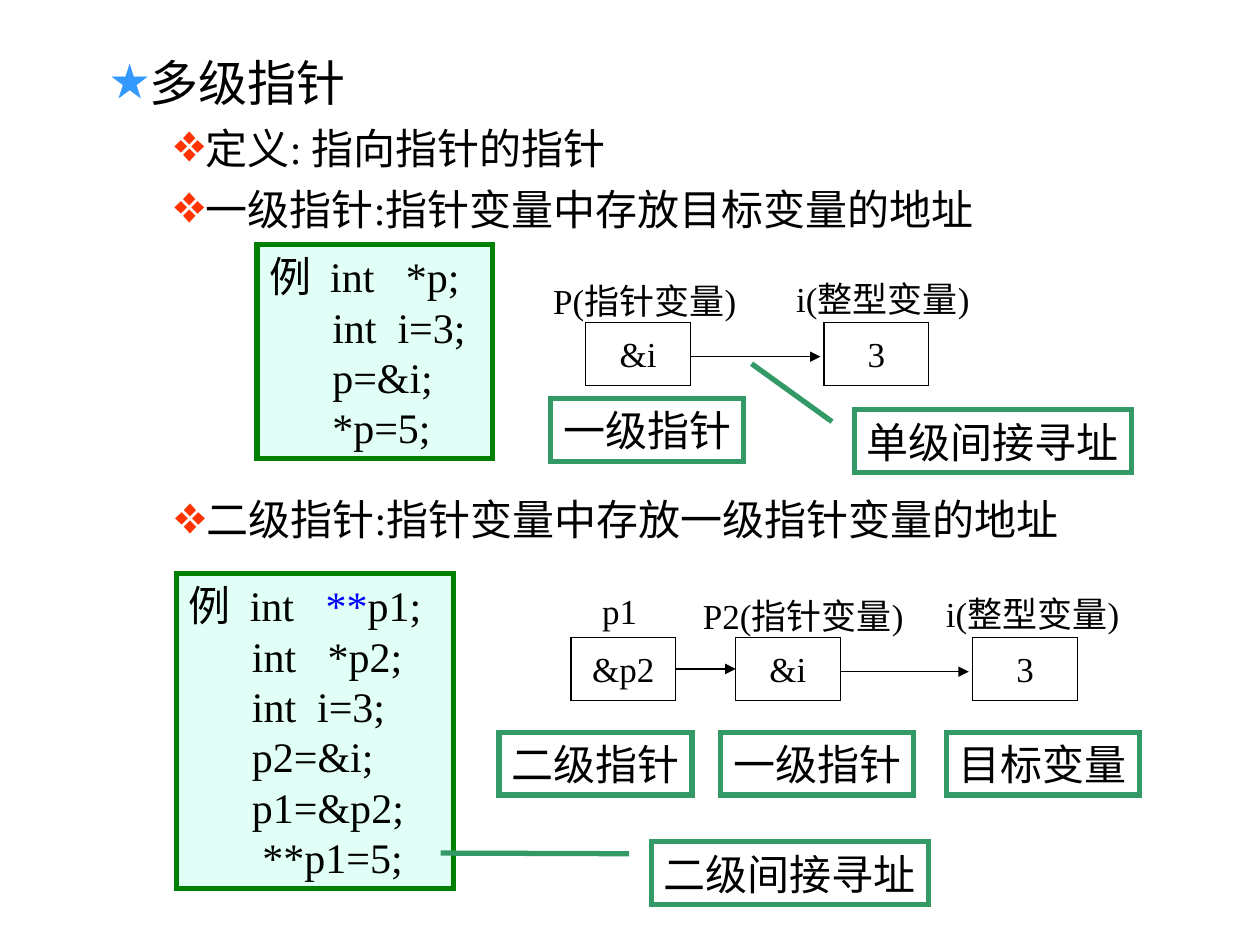
from lxml.etree import SubElement
from pptx import Presentation
from pptx.dml.color import RGBColor
from pptx.enum.shapes import MSO_CONNECTOR, MSO_SHAPE
from pptx.enum.text import MSO_ANCHOR, MSO_AUTO_SIZE, PP_ALIGN
from pptx.oxml.ns import qn
from pptx.util import Cm, Pt

FONT = "Times New Roman"
HUES = {"ink": "000000", "white": "FFFFFF", "mint": "E1FFF7", "green": "008000",
        "sea": "339966", "blue": "0000FF", "star": "3399FF", "gem": "FF3300"}

LEVELS = {1: ("★", "star", 28, 2.06, -0.79, 7), 2: ("❖", "gem", 24, 3.17, -0.63, 6)}
TOPICS = [(1, "多级指针"), (2, "定义: 指向指针的指针"),
          (2, "一级指针:指针变量中存放目标变量的地址")]
DOUBLE = [(2, "二级指针:指针变量中存放一级指针变量的地址")]

CODES = [
    (3.56, 11.56, 5.59, 6.35,
     [[("例  int  ", "ink"), (" **", "blue"), ("p1;", "ink")], "      int   *p2;",
      "      int  i=3;", "      p2=&i;", "      p1=&p2;", "       **p1=5;"]),
    (5.18, 4.93, 4.75, 4.32,
     ["例  int   *p;", "      int  i=3;", "      p=&i;", "      *p=5;"]),
]

CELL = (2.11, 1.27)
ROWS = [(6.5, [(11.81, "&i"), (16.61, "3")]),
        (12.85, [(11.51, "&p2"), (14.83, "&i"), (19.61, "3")])]
NAMES = [(10.9, 5.51, 4.9, "P(指针变量)"), (15.8, 5.46, 4.7, "i(整型变量)"),
         (11.89, 11.76, 1.5, "p1"), (13.92, 11.86, 5.3, "P2(指针变量)"),
         (18.82, 11.81, 4.7, "i(整型变量)")]
ARROWS = [(13.92, 16.54, 7.19), (16.94, 19.53, 13.54)]

TAG = (3.89, 1.27)
TAGS = [(11.1, 8.03, "一级指针"), (10.06, 14.76, "二级指针"),
        (14.53, 14.76, "一级指针"), (19.08, 14.76, "目标变量")]
CALL = (5.59, 1.27)
CALLS = [(17.22, 8.26, "单级间接寻址", (0.19, -0.08, -0.73, -0.37)),
         (13.13, 16.97, "二级间接寻址", (0.19, -0.08, 0.18, -0.76))]


def hue(key):
    return RGBColor.from_string(HUES[key])


def style(font, size, key="ink"):
    font.name = FONT
    font.size = Pt(size)
    font.color.rgb = hue(key)


def write(frame, lines, size, align):
    for n, line in enumerate(lines):
        para = frame.add_paragraph() if n else frame.paragraphs[0]
        para.alignment = align
        if isinstance(line, str):
            para.text = line
            style(para.font, size)
            continue
        for text, key in line:
            run = para.add_run()
            run.text = text
            style(run.font, size, key)


def bullets(frame, items):
    frame.word_wrap = True
    frame.auto_size = MSO_AUTO_SIZE.NONE
    for n, (level, text) in enumerate(items):
        mark, key, size, left, hang, gap = LEVELS[level]
        para = frame.add_paragraph() if n else frame.paragraphs[0]
        para.text = text
        para.level = level
        props = para._p.get_or_add_pPr()
        props.set("marL", str(Cm(left)))
        props.set("indent", str(Cm(hang)))
        tint = SubElement(props, qn("a:buClr"))
        SubElement(tint, qn("a:srgbClr"), val=HUES[key])
        SubElement(props, qn("a:buSzPct"), val="100000")
        SubElement(props, qn("a:buFont"), typeface=FONT)
        SubElement(props, qn("a:buChar"), char=mark)
        para.space_before = Pt(gap if n else 0)
        style(para.font, size)


def box(shapes, kind, area, fill, line, width):
    item = shapes.add_shape(kind, *map(Cm, area))
    item.shadow.inherit = False
    if fill:
        item.fill.solid()
        item.fill.fore_color.rgb = hue(fill)
    else:
        item.fill.background()
    item.line.color.rgb = hue(line)
    item.line.width = Pt(width)
    SubElement(item.line._get_or_add_ln(), qn("a:miter"), lim="800000")
    return item


def label(item, lines, size, align, anchor, wrap, grow=True):
    frame = item.text_frame
    frame.word_wrap = wrap
    frame.auto_size = MSO_AUTO_SIZE.SHAPE_TO_FIT_TEXT if grow else MSO_AUTO_SIZE.NONE
    frame.vertical_anchor = anchor
    write(frame, lines, size, align)


def arrow(shapes, start, end, y):
    line = shapes.add_connector(MSO_CONNECTOR.STRAIGHT, Cm(start), Cm(y), Cm(end), Cm(y))
    line.line.color.rgb = hue("ink")
    line.line.width = Pt(0.75)
    SubElement(line.line._get_or_add_ln(), qn("a:tailEnd"), type="triangle")
    SubElement(line._element.spPr, qn("a:effectLst"))
    return line


def main():
    deck = Presentation()
    deck.slide_width, deck.slide_height = Cm(25.4), Cm(19.05)
    slide = deck.slides.add_slide(deck.slide_layouts[1])
    shapes = slide.shapes
    title = shapes.title._element
    title.getparent().remove(title)

    body = slide.placeholders[1]
    body.left, body.top, body.width, body.height = map(Cm, (0.69, 0.94, 23.95, 4.06))
    bullets(body.text_frame, TOPICS)
    note = shapes.add_textbox(*map(Cm, (0.71, 9.83, 23.95, 1.52)))
    bullets(note.text_frame, DOUBLE)

    for *area, lines in CODES:
        item = box(shapes, MSO_SHAPE.RECTANGLE, area, "mint", "green", 3)
        label(item, lines, 24, PP_ALIGN.LEFT, MSO_ANCHOR.TOP, False)

    cells = []
    for y, row in ROWS:
        for x, text in row:
            item = box(shapes, MSO_SHAPE.RECTANGLE, (x, y, *CELL), None, "ink", 0.75)
            label(item, [text], 20, PP_ALIGN.CENTER, MSO_ANCHOR.MIDDLE, False, False)
            cells.append(item)
    for x, y, width, text in NAMES:
        item = shapes.add_textbox(*map(Cm, (x, y, width, 1.12)))
        label(item, [text], 20, PP_ALIGN.LEFT, MSO_ANCHOR.TOP, True, False)

    for ends in ARROWS:
        arrow(shapes, *ends)
    link = arrow(shapes, 13.62, 14.83, 13.49)
    link.begin_connect(cells[2], 3)
    link.end_connect(cells[3], 1)

    for x, y, text in TAGS:
        item = box(shapes, MSO_SHAPE.RECTANGLE, (x, y, *TAG), "white", "sea", 3)
        label(item, [text], 24, PP_ALIGN.CENTER, MSO_ANCHOR.MIDDLE, True)
    for x, y, text, bends in CALLS:
        item = box(shapes, MSO_SHAPE.LINE_CALLOUT_1, (x, y, *CALL), "white", "sea", 3)
        for n, bend in enumerate(bends):
            item.adjustments[n] = bend
        label(item, [text], 24, PP_ALIGN.CENTER, MSO_ANCHOR.MIDDLE, True)

    deck.save("out.pptx")


if __name__ == "__main__":
    main()
